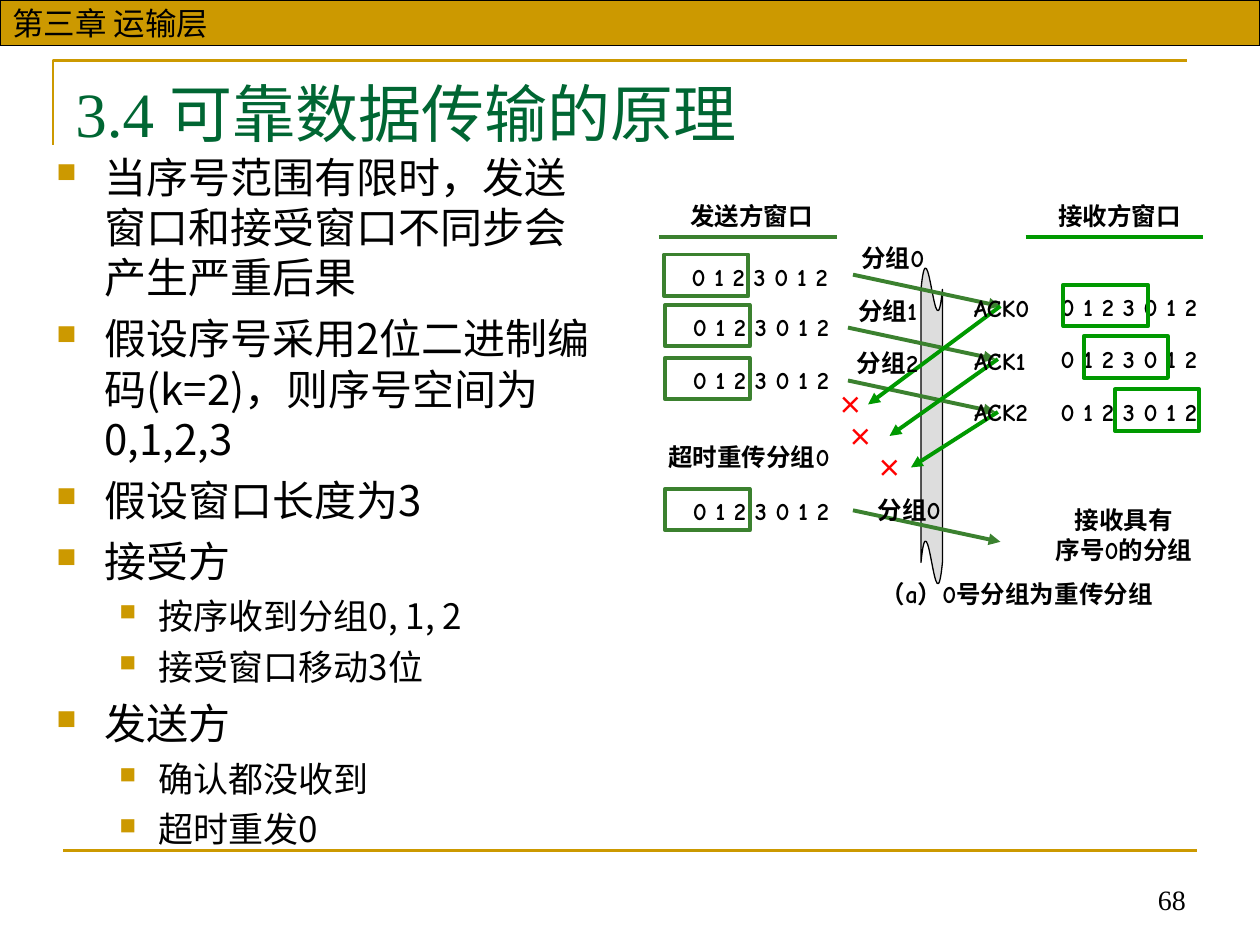
"""Build a slide on limited sequence numbers in reliable data transfer."""
from lxml.etree import SubElement
from pptx import Presentation
from pptx.dml.color import RGBColor
from pptx.enum.shapes import MSO_CONNECTOR, MSO_SHAPE
from pptx.enum.text import MSO_ANCHOR, PP_ALIGN
from pptx.oxml.ns import qn
from pptx.util import Inches, Pt

GOLD = RGBColor(0xCC, 0x99, 0x00)
TITLE_GREEN = RGBColor(0x00, 0x66, 0x33)
SENDER_GREEN = RGBColor(0x3B, 0x81, 0x2F)
RECEIVER_GREEN = RGBColor(0x00, 0x99, 0x00)
GREY = RGBColor(0xDD, 0xDD, 0xDD)
RED = RGBColor(0xFF, 0x00, 0x00)
BLACK = RGBColor(0x00, 0x00, 0x00)
SERIF, SANS, CHINESE, COMIC = "Times New Roman", "Arial", "Noto Sans CJK SC", "Comic Neue"

POINTS = [
    (0, "当序号范围有限时，发送窗口和接受窗口不同步会产生严重后果"),
    (0, "假设序号采用2位二进制编码(k=2)，则序号空间为0,1,2,3"),
    (0, "假设窗口长度为3"),
    (0, "接受方"),
    (1, "按序收到分组0, 1, 2"),
    (1, "接受窗口移动3位"),
    (0, "发送方"),
    (1, "确认都没收到"),
    (1, "超时重发0"),
]
LEVELS = [(24, 6, 0.38, 0.38), (20, 5, 0.81, 0.31)]

SEQUENCE = "0 1 2 3 0 1 2"
LABEL_HEIGHT = 0.34
WINDOW_WIDTH, WINDOW_HEIGHT = 0.67, 0.33
SEQUENCE_WIDTH = 1.28
SEQUENCES = [
    (5.39, 2.03, 5.27, SENDER_GREEN),
    (5.4, 2.43, 5.28, SENDER_GREEN),
    (5.4, 2.85, 5.28, SENDER_GREEN),
    (5.4, 3.89, 5.28, SENDER_GREEN),
    (8.32, 2.27, 8.44, RECEIVER_GREEN),
    (8.32, 2.68, 8.6, RECEIVER_GREEN),
    (8.32, 3.1, 8.85, RECEIVER_GREEN),
]
PACKET_RUN, PACKET_DROP = 1.17, 0.25
PACKET_STARTS = [(6.77, 2.18), (6.73, 2.6), (6.73, 3.02), (6.77, 4.05)]
ACK_ARROWS = [
    ((7.94, 2.43), (6.89, 3.21)),
    ((7.92, 2.85), (7.06, 3.46)),
    ((7.92, 3.27), (7.23, 3.71)),
]
HEADINGS = [
    ("发送方窗口", 5.38, 5.23, SENDER_GREEN),
    ("接收方窗口", 8.3, 8.14, RECEIVER_GREEN),
]
HEADING_TOP, HEADING_WIDTH, RULE_TOP, RULE_WIDTH = 1.55, 1.17, 1.88, 1.41
LABELS = [
    ("分组0", 6.71, 1.88, 0.75),
    ("分组1", 6.69, 2.3, 0.71),
    ("分组2", 6.68, 2.71, 0.73),
    ("分组0", 6.84, 3.88, 0.75),
    ("超时重传分组0", 5.18, 3.46, 1.53),
    ("接收具有\n序号0的分组", 8.23, 3.96, 1.38),
    ("ACK0", 7.63, 2.28, 0.64),
    ("ACK1", 7.63, 2.7, 0.61),
    ("ACK2", 7.63, 3.1, 0.63),
    ("（a）0号分组为重传分组", 6.8, 4.55, 2.54),
]
LOSSES = [(6.6, 3.05), (6.68, 3.3), (6.91, 3.55)]
LOSS_WIDTH = 0.31


def style(paragraph, size, name, color=BLACK, bold=False):
    font = paragraph.font
    font.size, font.name, font.bold = Pt(size), name, bold
    font.color.rgb = color


def add_text(slide, text, box, size, name, color=BLACK, bold=False,
             align=PP_ALIGN.LEFT, anchor=MSO_ANCHOR.TOP, wrap=True):
    frame = slide.shapes.add_textbox(*map(Inches, box)).text_frame
    frame.word_wrap, frame.vertical_anchor = wrap, anchor
    frame.text = text
    for paragraph in frame.paragraphs:
        paragraph.alignment = align
        style(paragraph, size, name, color, bold)
    return frame


def add_label(slide, text, left, top, width, name=COMIC, color=BLACK):
    frame = add_text(slide, text, (left, top, width, LABEL_HEIGHT), 14, name, color,
                     bold=True, align=PP_ALIGN.CENTER, wrap=False)
    frame.margin_left = frame.margin_right = 0


def add_box(slide, kind, box, line_color, line_width, fill_color=None):
    shape = slide.shapes.add_shape(kind, *map(Inches, box))
    shape.shadow.inherit = False
    if fill_color is None:
        shape.fill.background()
    else:
        shape.fill.solid()
        shape.fill.fore_color.rgb = fill_color
    shape.line.color.rgb, shape.line.width = line_color, Pt(line_width)
    return shape


def add_line(slide, start, end, color, width=2.25, arrow=False):
    connector = slide.shapes.add_connector(
        MSO_CONNECTOR.STRAIGHT, *map(Inches, (*start, *end)))
    connector.line.color.rgb, connector.line.width = color, Pt(width)
    if arrow:
        SubElement(connector.line._get_or_add_ln(), qn("a:tailEnd"), type="triangle")
    SubElement(connector._element.spPr, qn("a:effectLst"))


def add_points(slide):
    frame = add_text(slide, "\n".join(text for _, text in POINTS),
                     (0.35, 1.15, 4.57, 5.12), 24, CHINESE)
    for index, (paragraph, (level, _)) in enumerate(zip(frame.paragraphs, POINTS)):
        size, space, margin, hanging = LEVELS[level]
        paragraph.level = level
        paragraph.space_before = Pt(space if index else 0)
        properties = paragraph._p.get_or_add_pPr()
        properties.set("marL", str(Inches(margin)))
        properties.set("indent", str(-Inches(hanging)))
        properties.remove(properties.find(qn("a:defRPr")))
        bullet_color = SubElement(properties, qn("a:buClr"))
        SubElement(bullet_color, qn("a:srgbClr"), val=str(GOLD))
        SubElement(properties, qn("a:buSzPct"), val="65000")
        SubElement(properties, qn("a:buChar"), char="■")
        style(paragraph, size, CHINESE)


def add_page_frame(slide):
    builder = slide.shapes.build_freeform(Inches(0.42), Inches(1.15))
    builder.add_line_segments(
        [(Inches(0.42), Inches(0.48)), (Inches(9.42), Inches(0.48))], close=False)
    corner = builder.convert_to_shape()
    corner.shadow.inherit = False
    corner.fill.background()
    corner.line.color.rgb, corner.line.width = GOLD, Pt(1.5)
    add_line(slide, (0.5, 6.75), (9.5, 6.75), GOLD, 1.5)

    banner = add_box(slide, MSO_SHAPE.RECTANGLE, (0, 0, 10, 0.36), BLACK, 0.75, GOLD)
    banner.text_frame.text = "第三章 运输层"
    banner.text_frame.vertical_anchor = MSO_ANCHOR.MIDDLE
    paragraph = banner.text_frame.paragraphs[0]
    paragraph.alignment = PP_ALIGN.LEFT
    style(paragraph, 18, SANS)

    add_text(slide, "68", (6.34, 6.82, 3.17, 0.5), 16, SERIF,
             align=PP_ALIGN.RIGHT, anchor=MSO_ANCHOR.BOTTOM)
    add_text(slide, "3.4 可靠数据传输的原理", (0.5, 0.51, 9, 0.77), 36, SERIF,
             TITLE_GREEN, anchor=MSO_ANCHOR.MIDDLE)


def add_diagram(slide):
    channel = add_box(slide, MSO_SHAPE.WAVE, (7.31, 2.12, 0.17, 2.52), BLACK, 0.75, GREY)
    channel.adjustments[0], channel.adjustments[1] = 0.07, 0
    for left, top, window_left, color in SEQUENCES:
        add_label(slide, SEQUENCE, left, top, SEQUENCE_WIDTH)
        add_box(slide, MSO_SHAPE.RECTANGLE,
                (window_left, top - 0.01, WINDOW_WIDTH, WINDOW_HEIGHT), color, 2.25)
    for left, top in PACKET_STARTS:
        add_line(slide, (left, top), (left + PACKET_RUN, top + PACKET_DROP),
                 SENDER_GREEN, arrow=True)
    for start, end in ACK_ARROWS:
        add_line(slide, start, end, RECEIVER_GREEN, arrow=True)
    for text, left, rule_left, color in HEADINGS:
        add_label(slide, text, left, HEADING_TOP, HEADING_WIDTH)
        add_line(slide, (rule_left, RULE_TOP), (rule_left + RULE_WIDTH, RULE_TOP), color)
    for label in LABELS:
        add_label(slide, *label)
    for left, top in LOSSES:
        add_label(slide, "×", left, top, LOSS_WIDTH, CHINESE, RED)


def main():
    presentation = Presentation()
    presentation.slide_width, presentation.slide_height = Inches(10), Inches(7.5)
    slide = presentation.slides.add_slide(presentation.slide_layouts[6])
    add_page_frame(slide)
    add_diagram(slide)
    add_points(slide)
    presentation.save("out.pptx")


if __name__ == "__main__":
    main()
